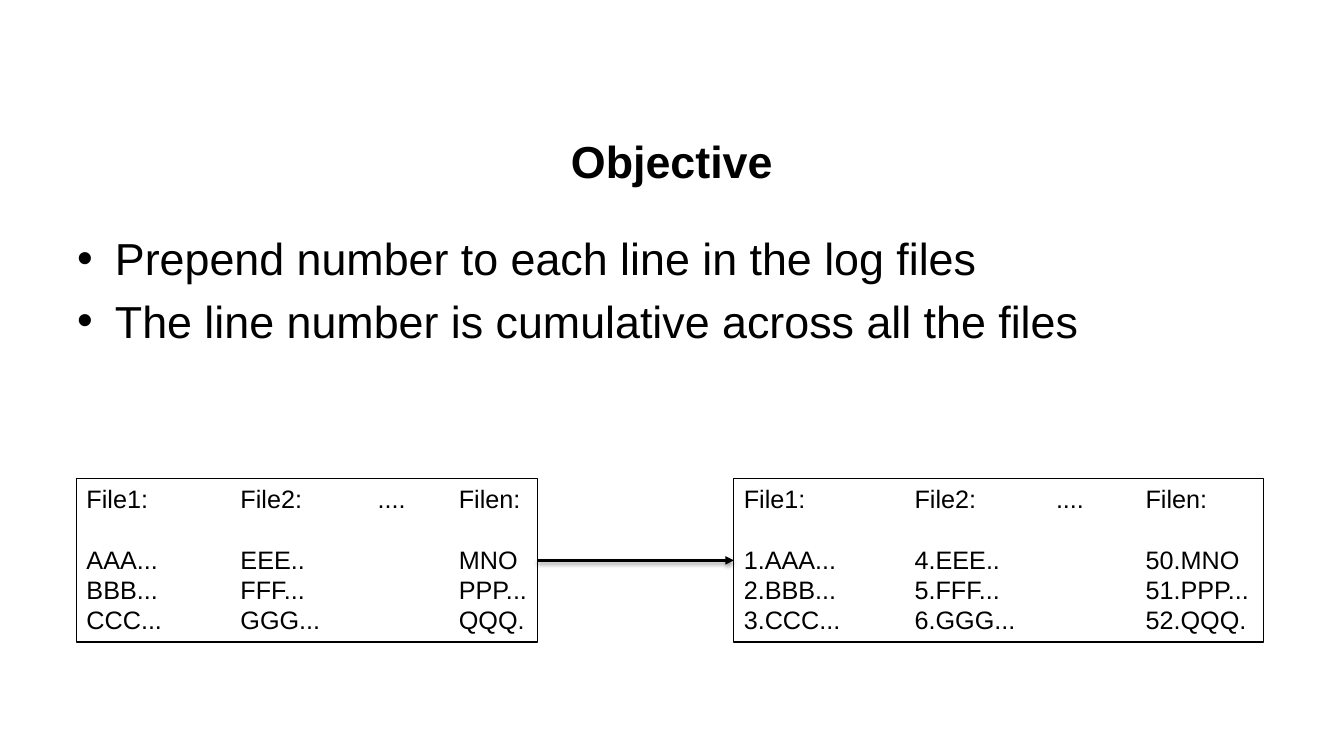
from pptx import Presentation, util as u
from pptx.dml.color import RGBColor
from pptx.enum import shapes, text
from pptx.oxml import parse_xml
from pptx.oxml.ns import nsdecls

Pt = u.Pt

# Content
TITLE = "Objective"
POINTS = [
    "Prepend number to each line in the log files",
    "The line number is cumulative across all the files",
]
HEAD = "File1:\tFile2:\t....\tFilen:"
# Each box: left, width, tab stops, rows
BOXES = [
    (54.7, 329, (110, 208, 266),
     ["AAA...\tEEE..\t\tMNO", "BBB...\tFFF...\t\tPPP...",
      "CCC...\tGGG...\t\tQQQ."]),
    (524.2, 378, (122, 223, 287),
     ["1.AAA...\t4.EEE..\t\t50.MNO", "2.BBB...\t5.FFF...\t\t51.PPP...",
      "3.CCC...\t6.GGG...\t\t52.QQQ."]),
]
TOP, HIGH = 342, 116.6
INK = "000000"


def color(code):
    return RGBColor.from_string(code)


def xml(tag, attrs="", body=""):
    return parse_xml(f"<a:{tag} {nsdecls('a')} {attrs}>{body}</a:{tag}>")


def write(frame, lines, size=18, bold=False, align=text.PP_ALIGN.LEFT,
          anchor=text.MSO_ANCHOR.TOP, before=0, bullet=False, tabs=()):
    frame.word_wrap = True
    frame.vertical_anchor = anchor
    for i, line in enumerate(lines):
        para = frame.paragraphs[0] if i == 0 else frame.add_paragraph()
        para.alignment = align
        para.line_spacing = Pt(size * 1.2)
        para.space_before = Pt(before)
        run = para.add_run()
        run.text = line
        font = run.font
        font.name, font.size, font.bold = "Arial", Pt(size), bold
        font.color.rgb = color(INK)
        props = para._p.get_or_add_pPr()
        if bullet:
            props.set("marL", str(Pt(27)))
            props.set("indent", str(-Pt(27)))
            props.append(xml("buFont", 'typeface="Arial"'))
            props.append(xml("buChar", 'char="\u2022"'))
        if tabs:
            stops = "".join(f'<a:tab pos="{Pt(t)}" algn="l"/>' for t in tabs)
            props.append(xml("tabLst", body=stops))


deck = Presentation()
deck.slide_width, deck.slide_height = Pt(960), Pt(540)
slide = deck.slides.add_slide(deck.slide_layouts[5])

# Title
title = slide.shapes.title
title.left, title.top, title.width, title.height = map(Pt, (48, 82.8, 864, 63.4))
write(title.text_frame, [TITLE], size=32, bold=True,
      align=text.PP_ALIGN.CENTER, anchor=text.MSO_ANCHOR.MIDDLE)

# Bullet points
body = slide.shapes.add_textbox(*map(Pt, (48, 161.3, 843.8, 126.7)))
write(body.text_frame, POINTS, size=32, before=6.4, bullet=True)

# File boxes
for left, wide, tabs, rows in BOXES:
    box = slide.shapes.add_shape(shapes.MSO_SHAPE.RECTANGLE,
                                 *map(Pt, (left, TOP, wide, HIGH)))
    box.shadow.inherit = False
    box.fill.background()
    box.line.color.rgb = color(INK)
    box.line.width = Pt(0.75)
    write(box.text_frame, [HEAD] + rows, tabs=tabs)
    box.text_frame.paragraphs[0].space_after = Pt(21.6)

# Arrow from the first box to the second
mid = TOP + HIGH / 2
start = BOXES[0][0] + BOXES[0][1]
arrow = slide.shapes.add_connector(shapes.MSO_CONNECTOR.STRAIGHT,
                                   *map(Pt, (start, mid, BOXES[1][0], mid)))
arrow.line.color.rgb = color(INK)
arrow.line.width = Pt(2)
arrow.line._get_or_add_ln().append(xml("tailEnd", 'type="triangle"'))
shade = (f'<a:outerShdw blurRad="{Pt(3.1)}" dist="{Pt(1.6)}" dir="5400000">'
         f'<a:srgbClr val="{INK}"><a:alpha val="38000"/></a:srgbClr>'
         '</a:outerShdw>')
arrow._element.spPr.append(xml("effectLst", body=shade))

deck.save("out.pptx")
